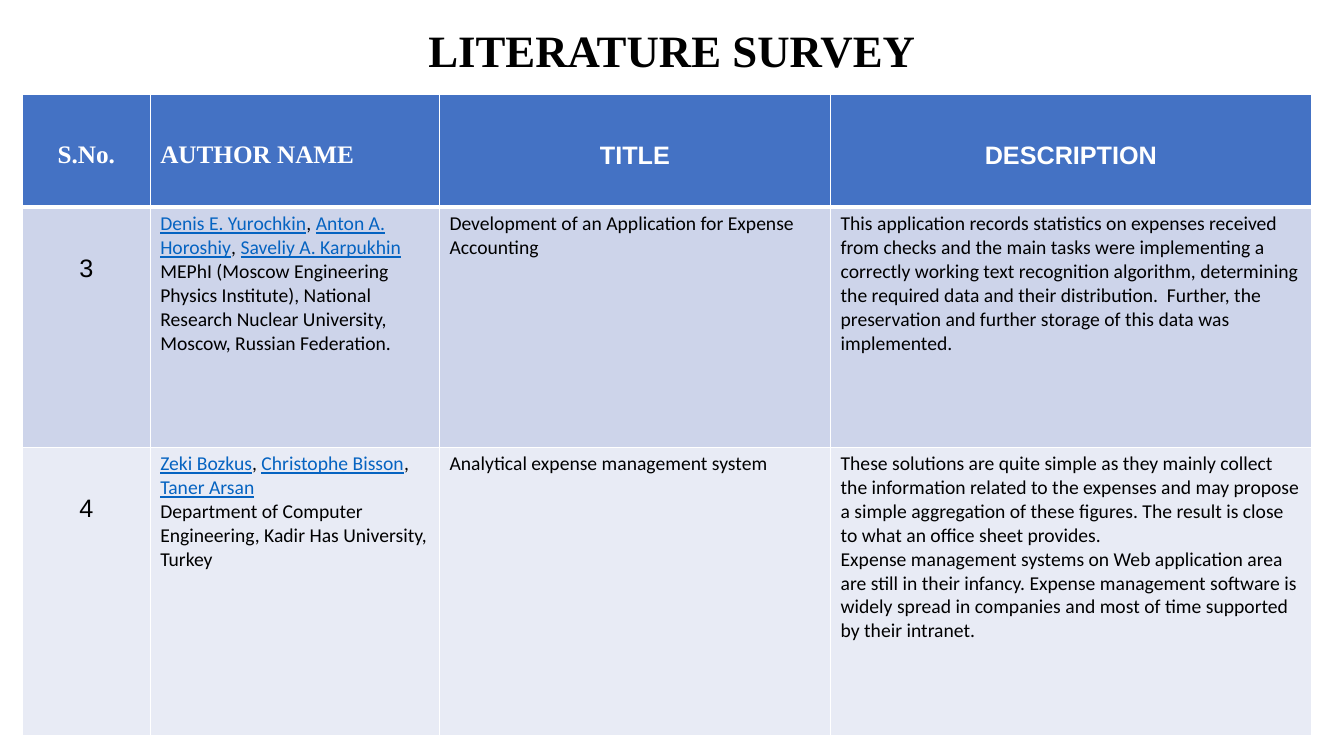
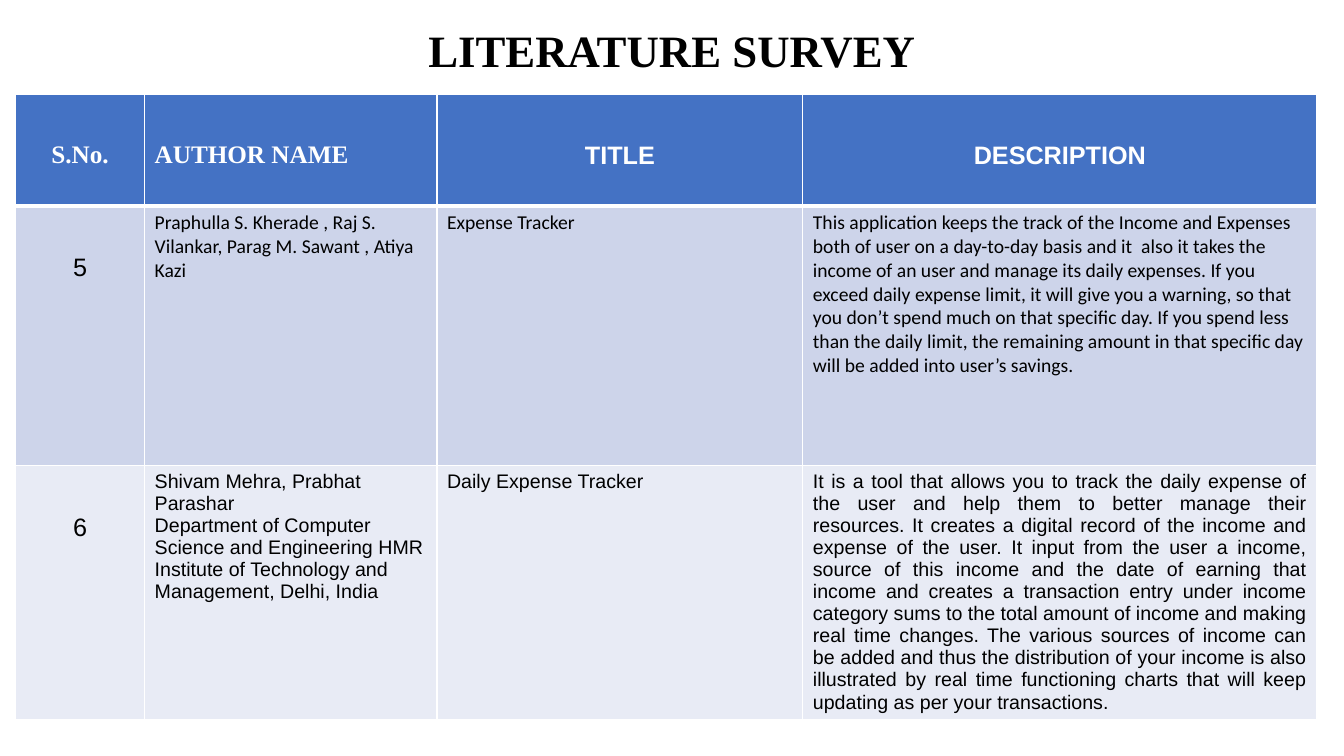
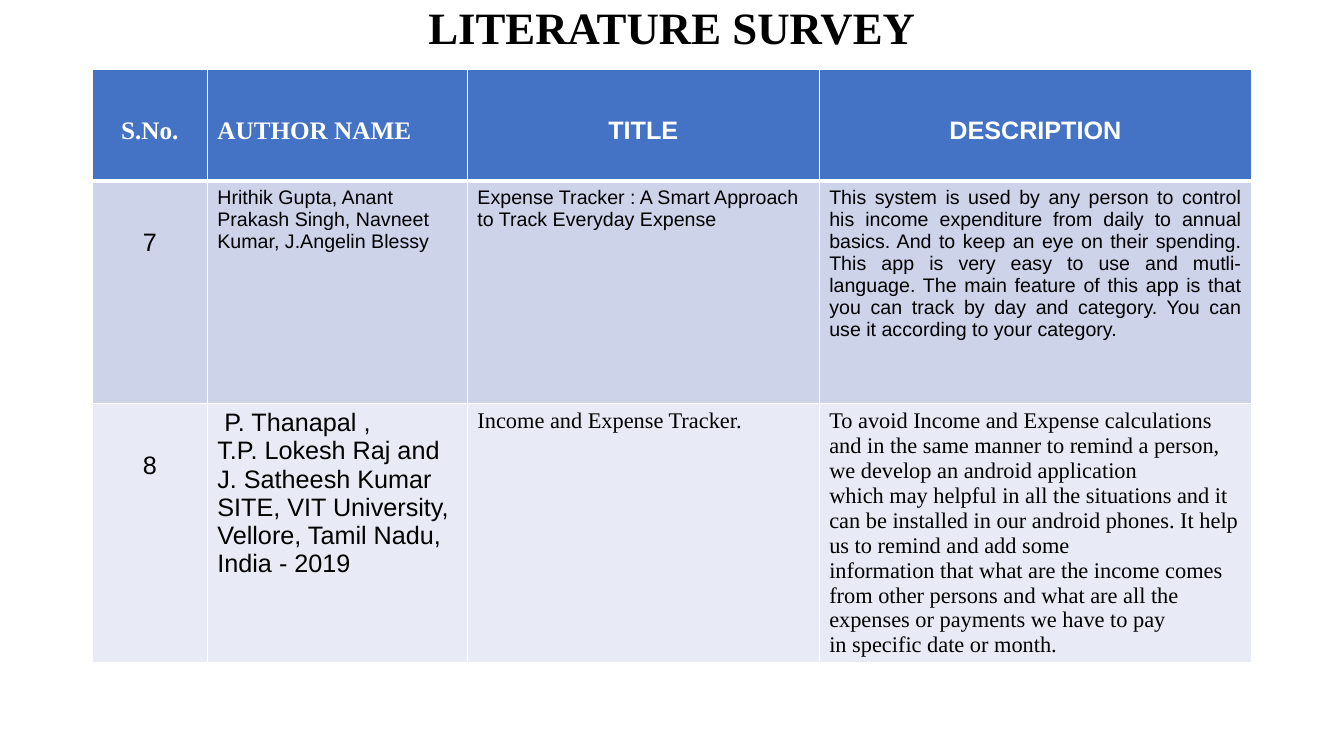
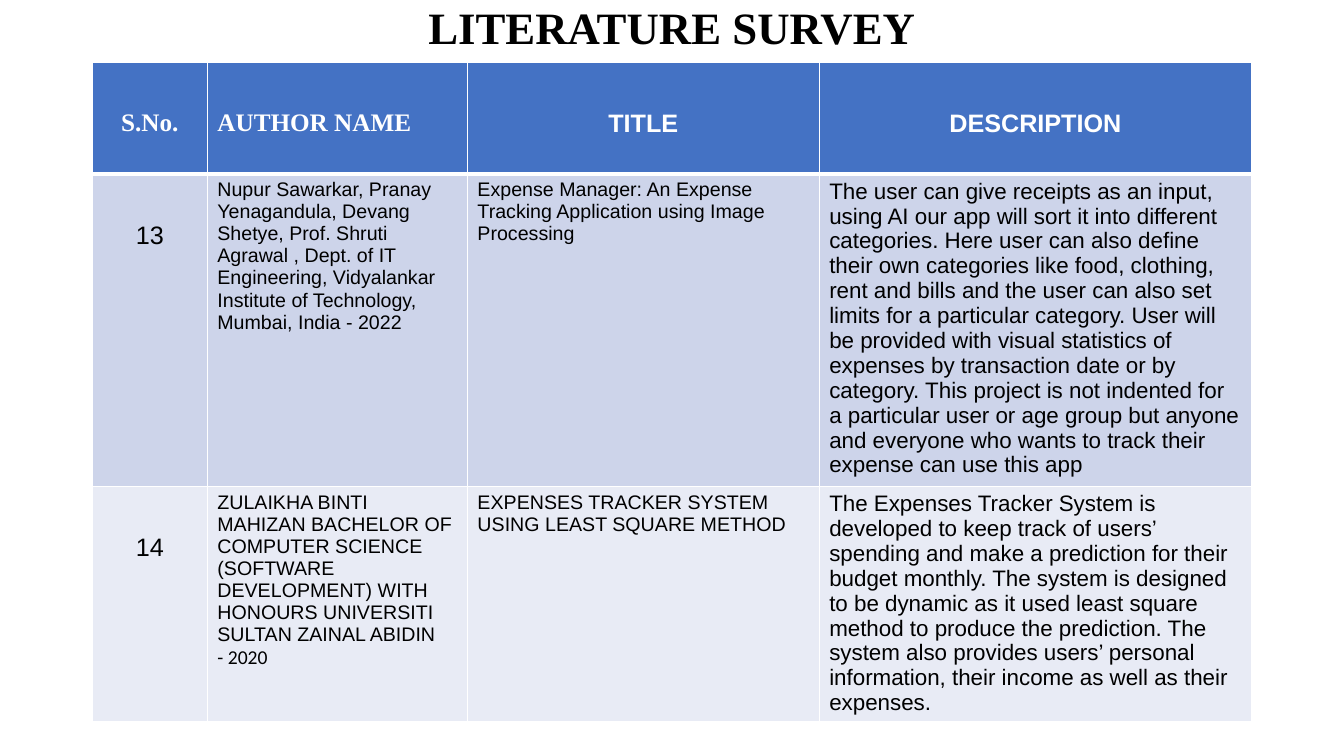
import pptx
import pptx.dml.color
import pptx.enum.text
import pptx.oxml.ns
import pptx.util
from dataclasses import dataclass
from lxml import etree

Pt = pptx.util.Pt
ALIGN = pptx.enum.text.PP_ALIGN

# Shared style
HUES = {
    "ink": "000000", "paper": "FFFFFF", "head": "4472C4",
    "dark": "CDD4EA", "light": "E8EBF5", "link": "0563C1",
}
SERIF, SANS, BODY = "Times New Roman", "Arial", "Calibri"
TALL = 2.5  # line spacing of the header row and the number column


@dataclass
class Line:
    """One paragraph; parts between bars are set as links."""
    words: str
    face: str = SANS
    size: float = 14
    align: ALIGN = ALIGN.LEFT
    space: float = 1.0
    hue: str = "ink"
    bold: bool = False


Cell = list[Line]


@dataclass
class Page:
    rise: float  # top of the title
    left: float
    top: float
    cols: list[float]
    rows: list[float]
    items: list[list[Cell]]


def cell(*words: str, **style) -> Cell:
    return [Line(text, **style) for text in words]


def num(value: int) -> Cell:
    return cell(str(value), size=18, align=ALIGN.CENTER, space=TALL)


def head(words: str, face: str, align: ALIGN = ALIGN.CENTER) -> Cell:
    return cell(words, face=face, size=18, align=align, space=TALL,
                hue="paper", bold=True)


HEADS = [
    head("S.No.", SERIF),
    head("AUTHOR NAME", SERIF, ALIGN.LEFT),
    head("TITLE", SANS),
    head("DESCRIPTION", SANS),
]
NARROW = [82.1, 185.8, 251.3, 308.9]

# Content
PAGES = [
    Page(-3.6, 15.9, 67.4, [91.4, 206.6, 279.4, 343.4], [80.6, 171.4, 205.9], [
        [num(3),
         cell("|Denis E. Yurochkin|, |Anton A. Horoshiy|, |Saveliy A. Karpukhin|",
              "MEPhI (Moscow Engineering Physics Institute), National Research "
              "Nuclear University, Moscow, Russian Federation.", face=BODY),
         cell("Development of an Application for Expense Accounting", face=BODY),
         cell("This application records statistics on expenses received from "
              "checks and the main tasks were implementing a correctly working "
              "text recognition algorithm, determining the required data and "
              "their distribution.  Further, the preservation and further "
              "storage of this data was implemented.", face=BODY)],
        [num(4),
         cell("|Zeki Bozkus|, |Christophe Bisson|, |Taner Arsan|",
              "Department of Computer Engineering, Kadir Has University, Turkey",
              face=BODY),
         cell("Analytical expense management system", face=BODY),
         cell("These solutions are quite simple as they mainly collect the "
              "information related to the expenses and may propose a simple "
              "aggregation of these figures. The result is close to what an "
              "office sheet provides.",
              "Expense management systems on Web application area are still in "
              "their infancy. Expense management software is widely spread in "
              "companies and most of time supported by their intranet.",
              face=BODY)],
    ]),
    Page(-3.6, 11.1, 67.4, [92.2, 208.8, 261.4, 367.2], [79.6, 185.8, 181.4], [
        [num(5),
         cell("Praphulla S. Kherade , Raj S. Vilankar, Parag M. Sawant , "
              "Atiya Kazi", face=BODY),
         cell("Expense Tracker", face=BODY),
         cell("This application keeps the track of the Income and Expenses both "
              "of user on a day-to-day basis and it  also it takes the income of "
              "an user and manage its daily expenses. If you exceed daily "
              "expense limit, it will give you a warning, so that you don’t "
              "spend much on that specific day. If you spend less than the daily "
              "limit, the remaining amount in that specific day will be added "
              "into user’s savings.", face=BODY)],
        [num(6),
         cell("Shivam Mehra, Prabhat Parashar",
              "Department of Computer Science and Engineering HMR Institute of "
              "Technology and Management, Delhi, India"),
         cell("Daily Expense Tracker"),
         cell("It is a tool that allows you to track the daily expense of the "
              "user and help them to better manage their resources. It creates a "
              "digital record of the income and expense of the user. It input "
              "from the user a income, source of this income and the date of "
              "earning that income and creates a transaction entry under income "
              "category sums to the total amount of income and making real time "
              "changes. The various sources of income can be added and thus the "
              "distribution of your income is also illustrated by real time "
              "functioning charts that will keep updating as per your "
              "transactions.", align=ALIGN.JUSTIFY)],
    ]),
    Page(-20.2, 66, 49.8, NARROW, [79.6, 159.1, 181.4], [
        [num(7),
         cell("Hrithik Gupta, Anant Prakash Singh, Navneet Kumar, "
              "J.Angelin Blessy"),
         cell("Expense Tracker : A Smart Approach to Track Everyday Expense"),
         cell("This system is used by any person to control his income "
              "expenditure from daily to annual basics. And to keep an eye on "
              "their spending. This app is very easy to use and mutli-language. "
              "The main feature of this app is that you can track by day and "
              "category. You can use it according to your category.",
              align=ALIGN.JUSTIFY)],
        [num(8),
         cell(" P. Thanapal ,", "T.P. Lokesh Raj and J. Satheesh Kumar",
              "SITE, VIT University, Vellore, Tamil Nadu, India - 2019", size=18),
         cell("Income and Expense Tracker.", face=SERIF, size=16),
         cell("To avoid Income and Expense calculations and in the same manner "
              "to remind a person, we develop an android application",
              "which may helpful in all the situations and it can be installed "
              "in our android phones. It help us to remind and add some",
              "information that what are the income comes from other persons and "
              "what are all the expenses or payments we have to pay",
              "in specific date or month.", face=SERIF, size=16)],
    ]),
    Page(-20.2, 66, 44.7, NARROW, [79.6, 223.2, 167.8], [
        [num(13),
         cell("Nupur Sawarkar, Pranay Yenagandula, Devang Shetye, Prof. Shruti "
              "Agrawal , Dept. of IT Engineering, Vidyalankar Institute of "
              "Technology, Mumbai, India - 2022"),
         cell("Expense Manager: An Expense Tracking Application using Image "
              "Processing"),
         cell("The user can give receipts as an input, using AI our app will "
              "sort it into different categories. Here user can also define "
              "their own categories like food, clothing, rent and bills and the "
              "user can also set limits for a particular category. User will be "
              "provided with visual statistics of expenses by transaction date "
              "or by category. This project is not indented for a particular "
              "user or age group but anyone and everyone who wants to track "
              "their expense can use this app", size=16)],
        [num(14),
         cell("ZULAIKHA BINTI MAHIZAN BACHELOR OF COMPUTER SCIENCE (SOFTWARE "
              "DEVELOPMENT) WITH HONOURS UNIVERSITI SULTAN ZAINAL ABIDIN")
         + cell("- 2020", face=BODY),
         cell("EXPENSES TRACKER SYSTEM USING LEAST SQUARE METHOD"),
         cell("The Expenses Tracker System is developed to keep track of users’ "
              "spending and make a prediction for their budget monthly. The "
              "system is designed to be dynamic as it used least square method "
              "to produce the prediction. The system also provides users’ "
              "personal information, their income as well as their expenses.",
              size=16)],
    ]),
]


# Drawing
def apply(thing, **values) -> None:
    for name, value in values.items():
        setattr(thing, name, value)


def tint(name: str) -> pptx.dml.color.RGBColor:
    return pptx.dml.color.RGBColor.from_string(HUES[name])


def write(frame, lines: Cell) -> None:
    for i, line in enumerate(lines):
        para = frame.add_paragraph() if i else frame.paragraphs[0]
        apply(para, alignment=line.align, line_spacing=line.space)
        for j, words in enumerate(line.words.split("|")):
            if not words:
                continue
            linked = j % 2 == 1
            run = para.add_run()
            run.text = words
            apply(run.font, name=line.face, size=Pt(line.size),
                  bold=line.bold, underline=linked)
            run.font.color.rgb = tint("link" if linked else line.hue)


def edge(box, row: int) -> None:
    """White cell borders, heavier beneath the header row."""
    props = box._tc.get_or_add_tcPr()
    widths = {"L": 1, "R": 1, "T": 3 if row == 1 else 1, "B": 1 if row else 3}
    qn = pptx.oxml.ns.qn
    for side, width in widths.items():
        line = etree.SubElement(props, qn(f"a:ln{side}"), w=str(Pt(width)))
        fill = etree.SubElement(line, qn("a:solidFill"))
        etree.SubElement(fill, qn("a:srgbClr"), val=HUES["paper"])


def draw_title(slide, rise: float) -> None:
    title = slide.shapes.title
    apply(title, left=Pt(66), top=Pt(rise), width=Pt(828), height=Pt(82.8))
    apply(title.text_frame, word_wrap=True,
          vertical_anchor=pptx.enum.text.MSO_ANCHOR.MIDDLE)
    write(title.text_frame, cell("LITERATURE SURVEY", face=SERIF, size=32,
                                 align=ALIGN.CENTER, space=0.9, bold=True))


def draw_table(slide, page: Page) -> None:
    grid = [HEADS] + page.items
    table = slide.shapes.add_table(
        len(grid), len(HEADS), Pt(page.left), Pt(page.top),
        Pt(sum(page.cols)), Pt(sum(page.rows))).table
    apply(table, first_row=False, horz_banding=False)
    for col, width in zip(table.columns, page.cols):
        col.width = Pt(width)
    for r, (row, height, fill) in enumerate(
            zip(grid, page.rows, ("head", "dark", "light"))):
        table.rows[r].height = Pt(height)
        for c, lines in enumerate(row):
            box = table.cell(r, c)
            edge(box, r)
            box.fill.solid()
            box.fill.fore_color.rgb = tint(fill)
            write(box.text_frame, lines)


def main() -> None:
    deck = pptx.Presentation()
    apply(deck, slide_width=Pt(960), slide_height=Pt(540))
    for page in PAGES:
        slide = deck.slides.add_slide(deck.slide_layouts[5])
        draw_title(slide, page.rise)
        draw_table(slide, page)
    deck.save("out.pptx")


if __name__ == "__main__":
    main()
